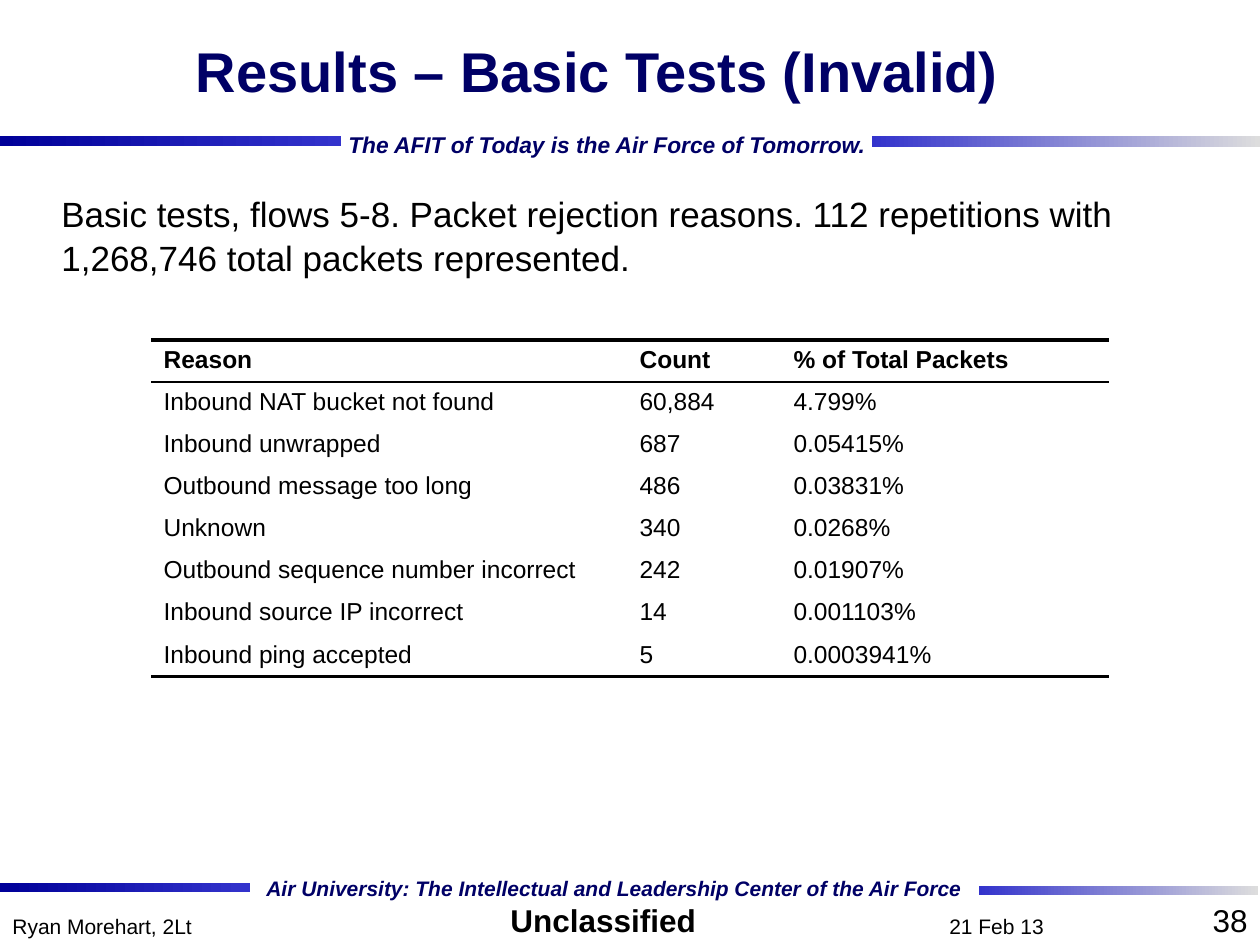
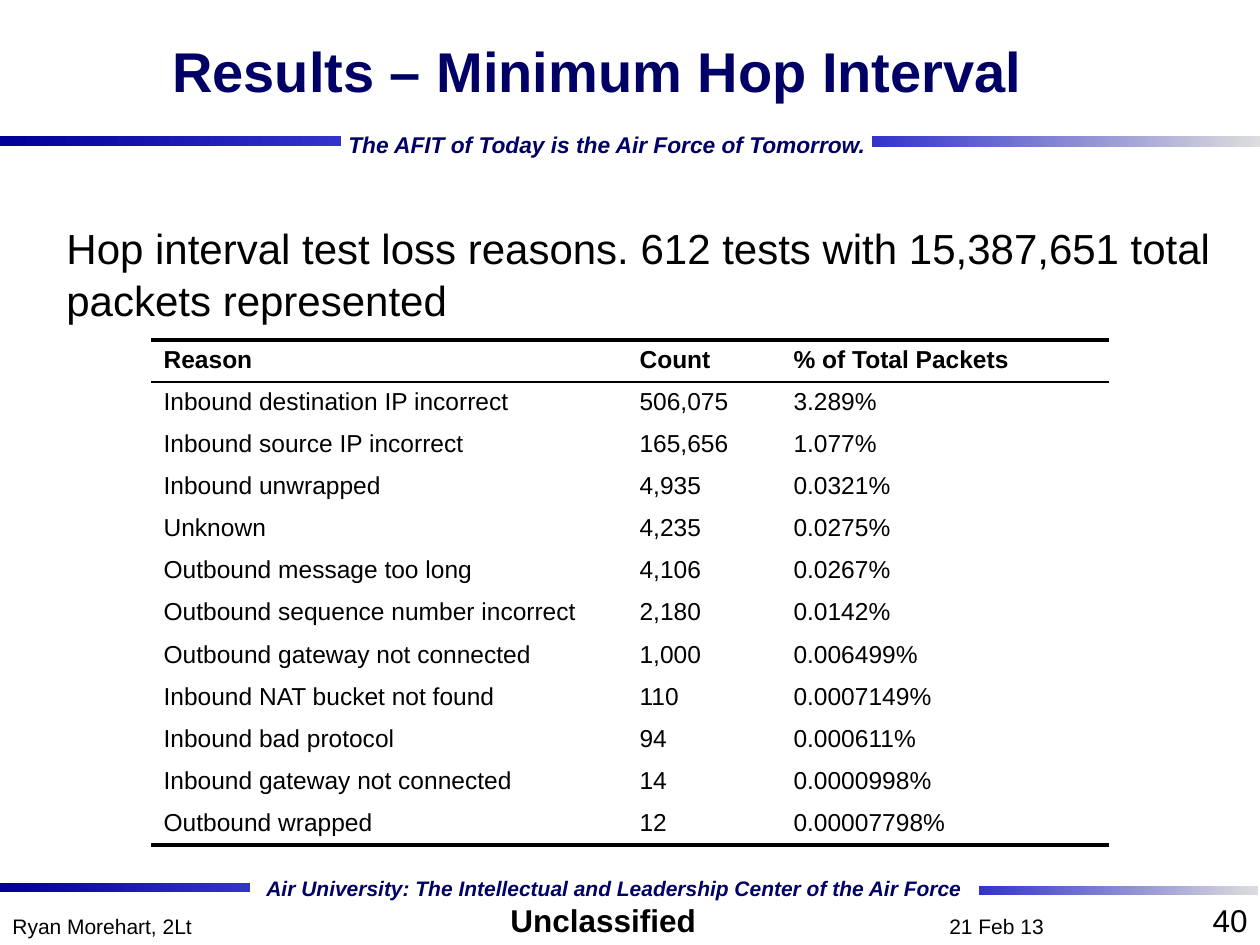
from lxml import etree
from pptx import Presentation
from pptx import util as u
from pptx.dml.color import RGBColor
from pptx.enum import shapes, text
from pptx.oxml.ns import qn

EMU_PER_PX = 914400 / 126
FONT = "Arial"
NAVY, BLACK = "000066", "000000"
DARK_BLUE, BLUE, GREY = "000099", "3333CC", "DDDDDD"
LEFT, CENTER, RIGHT = text.PP_ALIGN.LEFT, text.PP_ALIGN.CENTER, text.PP_ALIGN.RIGHT

# Boxes are left, top, width, height in px
BANDS = [
    ((0, 883, 250, 9), DARK_BLUE, BLUE),
    ((979, 886, 279, 9), BLUE, GREY),
    ((872, 136, 388, 11), BLUE, GREY),
    ((0, 136, 341, 10), DARK_BLUE, BLUE),
]
MOTTO = dict(color=NAVY, bold=True, italic=True, wrap=False)
FRAME_TEXTS = [
    ("Air University: The Intellectual and Leadership Center of the Air Force",
     (254, 869, 726, 37), dict(MOTTO, size=12)),
    ("The AFIT of Today is the Air Force of Tomorrow.",
     (336, 125, 548, 39), dict(MOTTO, size=13)),
    ("Unclassified", (498, 895, 213, 50), dict(size=18, bold=True, wrap=False)),
    ("21 Feb 13", (848, 907, 297, 38), dict(size=12, align=CENTER)),
    ("Ryan Morehart, 2Lt", (0, 907, 297, 38), dict(size=12)),
]
TITLE_BOX = (139, 0, 917, 141)
NUMBER_BOX = (966, 895, 294, 50)

TABLE_LEFT, TABLE_TOP, ROW_HEIGHT = 151, 340, 35
COLUMN_WIDTHS = (476, 154, 328)
THICK, THIN = 2.25, 1
HEADER = ("Reason", "Count", "% of Total Packets")

SLIDES = [
    dict(
        title="Results – Basic Tests (Invalid)",
        number="38",
        body="Basic tests, flows 5-8. Packet rejection reasons. "
             "112 repetitions with 1,268,746 total packets represented.",
        body_box=(49, 185, 1172, 125),
        body_size=20,
        reasons=[
            ("Inbound NAT bucket not found", "60,884", "4.799%"),
            ("Inbound unwrapped", "687", "0.05415%"),
            ("Outbound message too long", "486", "0.03831%"),
            ("Unknown", "340", "0.0268%"),
            ("Outbound sequence number incorrect", "242", "0.01907%"),
            ("Inbound source IP incorrect", "14", "0.001103%"),
            ("Inbound ping accepted", "5", "0.0003941%"),
        ],
    ),
    dict(
        title="Results – Minimum Hop Interval",
        number="40",
        body="Hop interval test loss reasons. "
             "612 tests with 15,387,651 total packets represented",
        body_box=(54, 214, 1206, 567),
        body_size=24,
        reasons=[
            ("Inbound destination IP incorrect", "506,075", "3.289%"),
            ("Inbound source IP incorrect", "165,656", "1.077%"),
            ("Inbound unwrapped", "4,935", "0.0321%"),
            ("Unknown", "4,235", "0.0275%"),
            ("Outbound message too long", "4,106", "0.0267%"),
            ("Outbound sequence number incorrect", "2,180", "0.0142%"),
            ("Outbound gateway not connected", "1,000", "0.006499%"),
            ("Inbound NAT bucket not found", "110", "0.0007149%"),
            ("Inbound bad protocol", "94", "0.000611%"),
            ("Inbound gateway not connected", "14", "0.0000998%"),
            ("Outbound wrapped", "12", "0.00007798%"),
        ],
    ),
]


def px(n):
    return u.Emu(round(n * EMU_PER_PX))


def place(box):
    return [px(n) for n in box]


def rgb(color):
    return RGBColor.from_string(color)


def write(tf, words, size, color=BLACK, bold=False, italic=False,
          align=LEFT, line_spacing=None):
    p = tf.paragraphs[0]
    p.alignment = align
    p.line_spacing = line_spacing
    r = p.add_run()
    r.text = words
    r.font.name = FONT
    r.font.size = u.Pt(size)
    r.font.bold = bold
    r.font.italic = italic
    r.font.color.rgb = rgb(color)


def add_text(slide, words, box, wrap=True, anchor=text.MSO_ANCHOR.TOP, **fmt):
    tf = slide.shapes.add_textbox(*place(box)).text_frame
    tf.word_wrap = wrap
    tf.vertical_anchor = anchor
    write(tf, words, **fmt)


def add_band(slide, box, *colors):
    sp = slide.shapes.add_shape(shapes.MSO_SHAPE.RECTANGLE, *place(box))
    sp.shadow.inherit = False
    sp.line.fill.background()
    sp.fill.gradient()
    sp.fill.gradient_angle = 0
    for stop, color in zip(sp.fill.gradient_stops, colors):
        stop.color.rgb = rgb(color)


def set_borders(cell, top, bottom):
    """Draw the top and bottom edges with these point widths; None hides one."""
    tc_pr = cell._tc.get_or_add_tcPr()
    for tag, width in (("a:lnL", None), ("a:lnR", None),
                       ("a:lnT", top), ("a:lnB", bottom)):
        ln = etree.SubElement(tc_pr, qn(tag))
        if width is None:
            etree.SubElement(ln, qn("a:noFill"))
        else:
            ln.set("w", str(u.Pt(width)))
            fill = etree.SubElement(ln, qn("a:solidFill"))
            etree.SubElement(fill, qn("a:srgbClr"), val=BLACK)


def add_reason_table(slide, reasons):
    rows = [HEADER] + reasons
    box = (TABLE_LEFT, TABLE_TOP, sum(COLUMN_WIDTHS), ROW_HEIGHT * len(rows))
    table = slide.shapes.add_table(len(rows), len(HEADER), *place(box)).table
    table.first_row = table.horz_banding = False
    for column, width in zip(table.columns, COLUMN_WIDTHS):
        column.width = px(width)
    rules = [THICK, THIN] + [None] * (len(reasons) - 1) + [THICK]
    for i, row in enumerate(rows):
        for j, words in enumerate(row):
            cell = table.cell(i, j)
            set_borders(cell, rules[i], rules[i + 1])
            cell.fill.background()
            write(cell.text_frame, words, size=14, bold=i == 0)


def add_frame(slide, title, number):
    """Add the bands, mottos, footer and title that every slide has."""
    for band in BANDS:
        add_band(slide, *band)
    for words, box, fmt in FRAME_TEXTS:
        add_text(slide, words, box, **fmt)
    add_text(slide, title, TITLE_BOX, size=32, color=NAVY, bold=True,
             align=CENTER, anchor=text.MSO_ANCHOR.MIDDLE)
    add_text(slide, number, NUMBER_BOX, size=18, align=RIGHT)


def main():
    prs = Presentation()
    prs.slide_width, prs.slide_height = px(1260), px(945)
    for content in SLIDES:
        slide = prs.slides.add_slide(prs.slide_layouts[6])
        add_frame(slide, content["title"], content["number"])
        add_text(slide, content["body"], content["body_box"],
                 size=content["body_size"], line_spacing=1.04)
        add_reason_table(slide, content["reasons"])
    prs.save("out.pptx")


if __name__ == "__main__":
    main()
